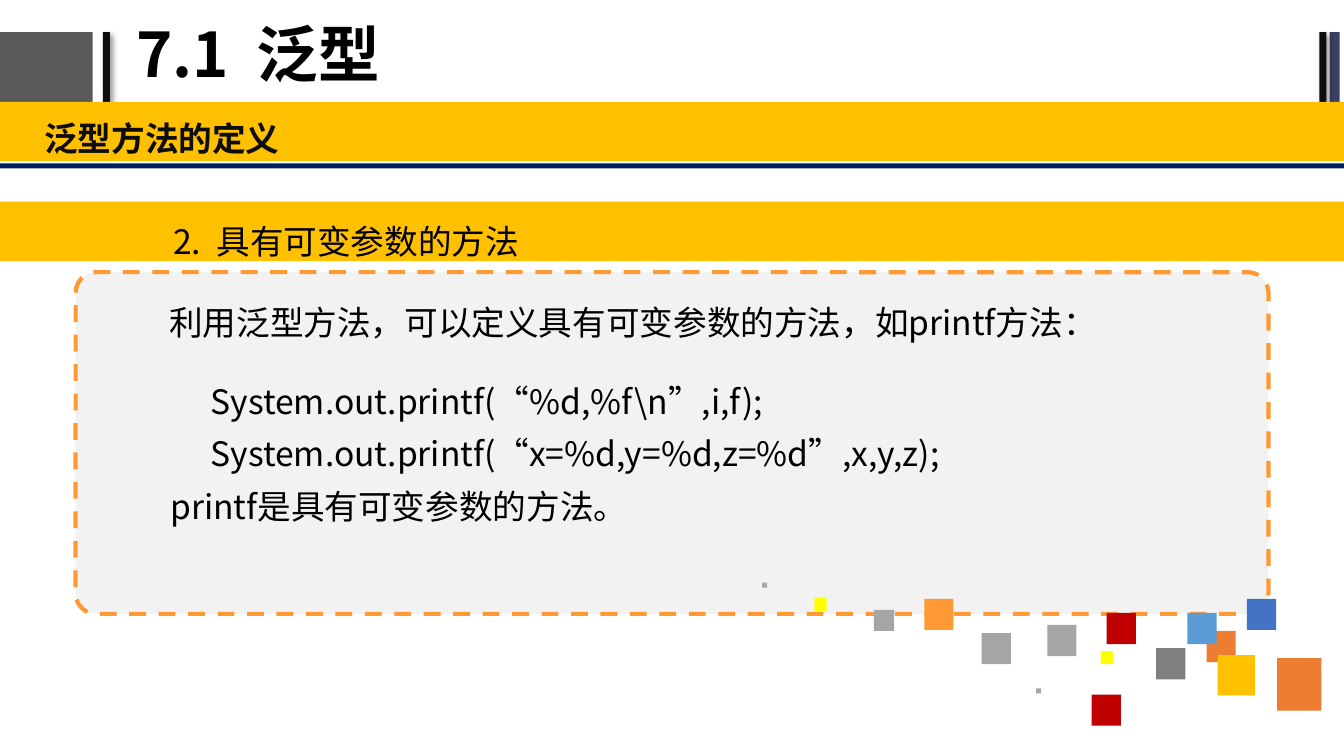
from lxml.etree import SubElement
from pptx import Presentation
from pptx.dml.color import RGBColor
from pptx.enum.dml import MSO_LINE
from pptx.enum.shapes import MSO_SHAPE
from pptx.enum.text import MSO_ANCHOR, MSO_AUTO_SIZE, PP_ALIGN
from pptx.oxml.ns import qn
from pptx.util import Inches, Pt

COLS, ROWS = 160, 90
FONT = "Noto Sans CJK SC"
COLORS = {
    "black": "000000", "ink": "0D0D0D", "slate": "595959", "indigo": "3B3F60",
    "navy": "002060", "gold": "FFC000", "panel": "F2F2F2", "amber": "FF9933",
    "orange": "ED7D31", "sky": "5B9BD5", "blue": "4472C4", "silver": "A5A5A5",
    "grey": "7F7F7F", "yellow": "FFFF00", "red": "C00000",
}
SIZES = {"dot": (0.6, 0.6), "small": (1.44, 1.56), "medium": (2.4, 2.52),
         "tile": (3.48, 3.72), "large": (4.44, 4.8), "huge": (5.28, 6.24)}
TILES = [
    (62.04, 9.36, "huge", "orange"), (53.64, 6.12, "tile", "orange"),
    (54.96, 9, "large", "gold"), (51.36, 3.96, "tile", "sky"),
    (33.36, 12.96, "dot", "silver"), (58.44, 2.28, "tile", "blue"),
    (41.04, 8.52, "small", "yellow"), (34.68, 5.4, "tile", "silver"),
    (41.76, 3.96, "tile", "red"), (47.64, 8.16, "tile", "grey"),
    (39.96, 13.68, "tile", "red"), (0.72, 0.36, "dot", "silver"),
    (6.96, 2.16, "small", "yellow"), (14.04, 3.6, "medium", "silver"),
    (20.04, 2.28, "tile", "amber"), (26.88, 6.36, "tile", "silver"),
]

prs = Presentation()
prs.slide_width, prs.slide_height = Inches(13.33), Inches(7.5)


def rgb(name):
    """Return the named colour."""
    return RGBColor.from_string(COLORS[name])


def place(box, x, y, w, h):
    """Turn grid cells relative to a box into slide lengths."""
    col, row = prs.slide_width / COLS, prs.slide_height / ROWS
    return [round(v) for v in ((box[0] + x) * col, (box[1] + y) * row, w * col, h * row)]


def assign(obj, **values):
    """Set each given attribute on an object."""
    for key, value in values.items():
        setattr(obj, key, value)


def add_block(s, box, cells, color, kind=MSO_SHAPE.RECTANGLE):
    """Add a plain filled shape."""
    sp = s.shapes.add_shape(kind, *place(box, *cells))
    sp.shadow.inherit = False
    sp.fill.solid()
    sp.fill.fore_color.rgb = rgb(color)
    sp.line.fill.background()
    return sp


def cast_shadow(sp):
    """Give a shape a soft shadow to its lower right."""
    effects = sp._element.spPr.find(qn("a:effectLst"))
    shadow = SubElement(effects, qn("a:outerShdw"), blurRad=str(Pt(4)), dist=str(Pt(3)),
                        dir=str(45 * 60000), algn="tl", rotWithShape="0")
    tint = SubElement(shadow, qn("a:srgbClr"), val=COLORS["black"])
    SubElement(tint, qn("a:alpha"), val="40000")


def write(p, text, size=24, color="black", bold=False, margin=0, indent=0, **spacing):
    """Write one formatted run into a paragraph."""
    assign(p, alignment=PP_ALIGN.LEFT, **spacing)
    pPr = p._p.get_or_add_pPr()
    pPr.set("marL", str(Inches(margin)))
    pPr.set("indent", str(Inches(indent)))
    r = p.add_run()
    r.text = text
    assign(r.font, size=Pt(size), bold=bold, name=FONT)
    r.font.color.rgb = rgb(color)
    SubElement(r._r.get_or_add_rPr(), qn("a:ea"), typeface=FONT)


def add_text(s, box, cells, lines, **values):
    """Add a wrapped text box with one paragraph per (text, indent) line."""
    tf = s.shapes.add_textbox(*place(box, *cells)).text_frame
    assign(tf, word_wrap=True, margin_left=Inches(0.13), margin_right=Inches(0.13),
           margin_top=Inches(0.07), margin_bottom=Inches(0.07))
    for i, (text, indent) in enumerate(lines):
        p = tf.add_paragraph() if i else tf.paragraphs[0]
        write(p, text, indent=indent, **values)


def add_header(s, box, title):
    """Place the title between the side bars."""
    top, height = 3.84, 9.12
    add_block(s, box, (0, top, 11.04, height), "slate")
    add_block(s, box, (box[2] - 1.72, top, 1.2, height), "indigo")
    for x in (12.24, box[2] - 2.92):
        cast_shadow(add_block(s, box, (x, top, 0.84, height), "ink"))
    sp = s.shapes.title
    left, y, w, h = place(box, 15, 0.24, 101.64, box[3])
    assign(sp, left=left, top=y, width=w, height=h)
    tf = sp.text_frame
    assign(tf, vertical_anchor=MSO_ANCHOR.MIDDLE, auto_size=MSO_AUTO_SIZE.NONE)
    write(tf.paragraphs[0], title, size=44, bold=True, line_spacing=0.9)


def add_topic(s, box, text):
    """Place the topic band with the rule below it."""
    add_block(s, box, (0, 0, box[2], 7.08), "gold")
    add_block(s, box, (0, 7.32, box[2], 0.6), "navy")
    add_text(s, box, (3.72, 0.12, box[2] - 3.72, 6.96), [(text, 0)],
             color="ink", bold=True, line_spacing=1.2, space_before=Pt(5))


def add_section(s, box, text):
    """Place the section band and its heading."""
    add_block(s, box, (0, 0.96, box[2], 7.08), "gold")
    add_text(s, box, (19.08, 0, 122.28, 6.96), [(text, 0)],
             line_spacing=1.5, space_before=Pt(5))


def add_card(s, box, intro, lines):
    """Place the dashed card with its introduction and code lines."""
    sp = add_block(s, box, (0, 0, *box[2:]), "panel", MSO_SHAPE.ROUNDED_RECTANGLE)
    sp.adjustments[0] = 0.06
    assign(sp.line, width=Pt(3), dash_style=MSO_LINE.DASH)
    sp.line.color.rgb = rgb("amber")
    add_text(s, box, (2.76, 10.68, 132.24, 24.36), lines, margin=0.58, line_spacing=1.3)
    add_text(s, box, (3.6, 0.36, 131.4, 15.24), [(intro, 0.5)],
             line_spacing=1.5, space_before=Pt(5))


def add_tiles(s, box):
    """Scatter the coloured tiles over the corner."""
    for x, y, size, color in TILES:
        add_block(s, box, (x, y, *SIZES[size]), color)


def add_lesson(box):
    """Build the lesson slide from its regions."""
    s = prs.slides.add_slide(prs.slide_layouts[5])
    x, y, w, h = box
    add_header(s, (x, y, w, 13.2), "7.1  泛型")
    add_topic(s, (x, y + 12.12, w, 7.92), "泛型方法的定义")
    add_card(s, (x + 9, y + 32.4, w - 18, 40.68),
             "利用泛型方法，可以定义具有可变参数的方法，如printf方法：",
             [("System.out.printf(“%d,%f\\n”,i,f);", 0.4),
              ("System.out.printf(“x=%d,y=%d,z=%d”,x,y,z);", 0.4),
              ("printf是具有可变参数的方法。", 0)])
    add_tiles(s, (x + 90, y + 69, w - 90, h - 69))
    add_section(s, (x, y + 23.04, w, 8.04), "2.  具有可变参数的方法")


add_lesson((0, 0, COLS, ROWS))
prs.save("out.pptx")
